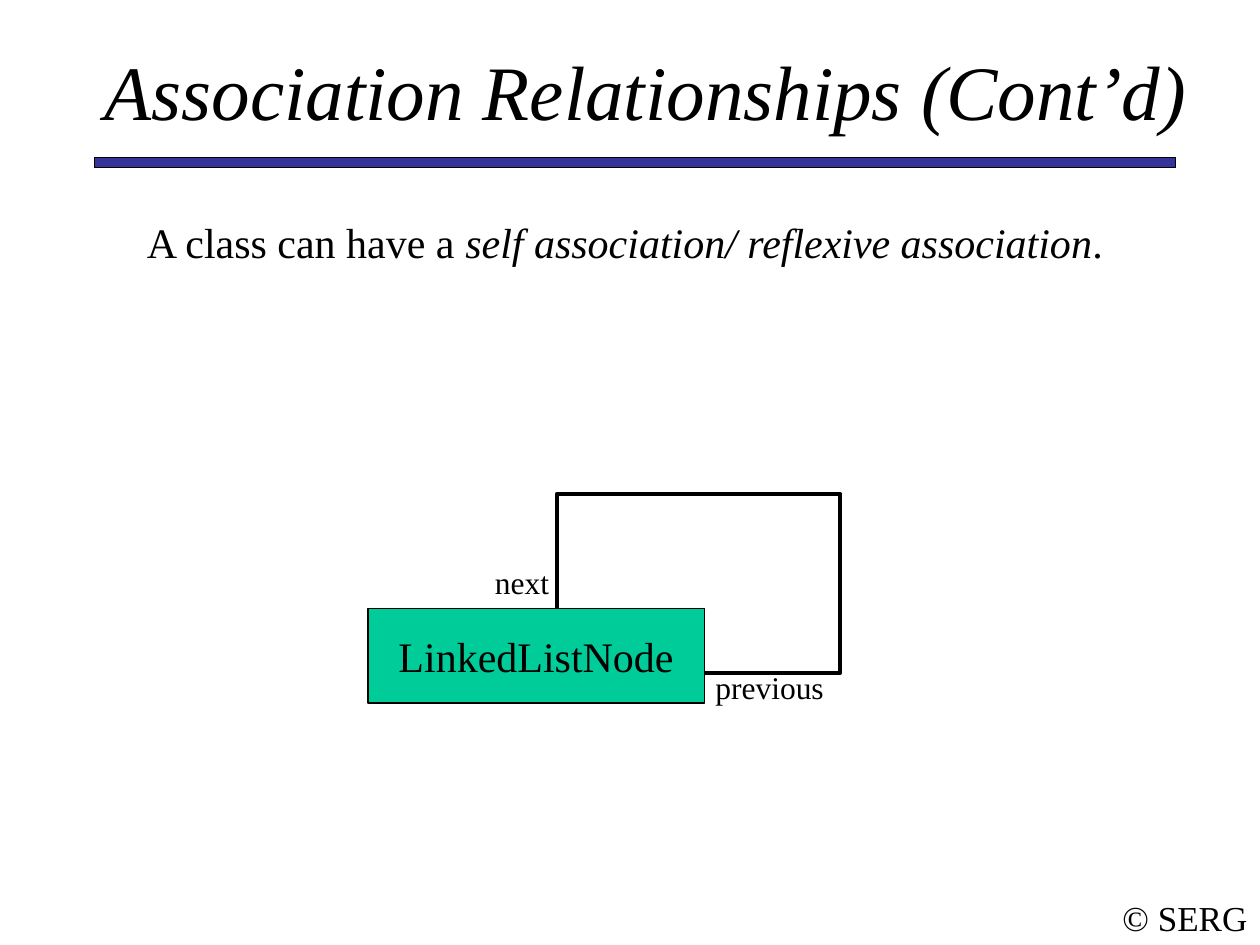
from pptx import Presentation
from pptx.dml.color import RGBColor
from pptx.enum import shapes, text
from pptx.util import Inches, Pt

BLACK = RGBColor(0x00, 0x00, 0x00)
WHITE = RGBColor(0xFF, 0xFF, 0xFF)
NAVY = RGBColor(0x33, 0x33, 0x99)
GREEN = RGBColor(0x00, 0xCC, 0x99)
FONT = "Times New Roman"
CENTER, LEFT = text.PP_ALIGN.CENTER, text.PP_ALIGN.LEFT
MIDDLE, TOP = text.MSO_ANCHOR.MIDDLE, text.MSO_ANCHOR.TOP

# Rectangles, back to front: (left, top, width, height), fill, line width
RULE = ((0.75, 1.25, 8.58, 0.08), NAVY, 0.75)
ASSOCIATION_LOOP = ((4.42, 3.92, 2.25, 1.42), WHITE, 2.25)
CLASS_NODE = ((2.92, 4.83, 2.67, 0.75), GREEN, 0.75)

# Texts: (left, top, width, height), spans of (wording, italic), size, align, anchor, wrap
TEXTS = [
    ((8.81, 7.07, 1.19, 0.43), [("© SERG", False)], 20, CENTER, MIDDLE, False),
    ((0.67, 0.42, 8.92, 0.58), [("Association Relationships (Cont’d)", True)],
     44, CENTER, MIDDLE, True),
    ((0.67, 1.67, 8.58, 0.5),
     [("A class can have a ", False),
      ("self association/ reflexive association", True),
      (".", False)],
     24, CENTER, TOP, True),
    ((3.83, 4.42, 0.67, 0.4), [("next", False)], 18, LEFT, TOP, True),
    ((5.58, 5.25, 1.17, 0.4), [("previous", False)], 18, LEFT, TOP, True),
]


def add_rectangle(page, place, fill, line_width):
    box = page.shapes.add_shape(shapes.MSO_SHAPE.RECTANGLE, *map(Inches, place))
    box.shadow.inherit = False
    box.fill.solid()
    box.fill.fore_color.rgb = fill
    box.line.color.rgb = BLACK
    box.line.width = Pt(line_width)
    return box


def write(box, spans, size, align, anchor, wrap):
    frame = box.text_frame
    frame.word_wrap = wrap
    frame.vertical_anchor = anchor
    para = frame.paragraphs[0]
    para.alignment = align
    para.font.name = FONT
    para.font.size = Pt(size)
    para.font.color.rgb = BLACK
    for wording, italic in spans:
        span = para.add_run()
        span.text = wording
        span.font.italic = italic


def main():
    deck = Presentation()
    deck.slide_width, deck.slide_height = Inches(10), Inches(7.5)
    page = deck.slides.add_slide(deck.slide_layouts[6])

    add_rectangle(page, *RULE)
    add_rectangle(page, *ASSOCIATION_LOOP)
    node = add_rectangle(page, *CLASS_NODE)
    write(node, [("LinkedListNode", False)], 24, CENTER, MIDDLE, False)

    for place, *content in TEXTS:
        write(page.shapes.add_textbox(*map(Inches, place)), *content)

    deck.save("out.pptx")


if __name__ == "__main__":
    main()
